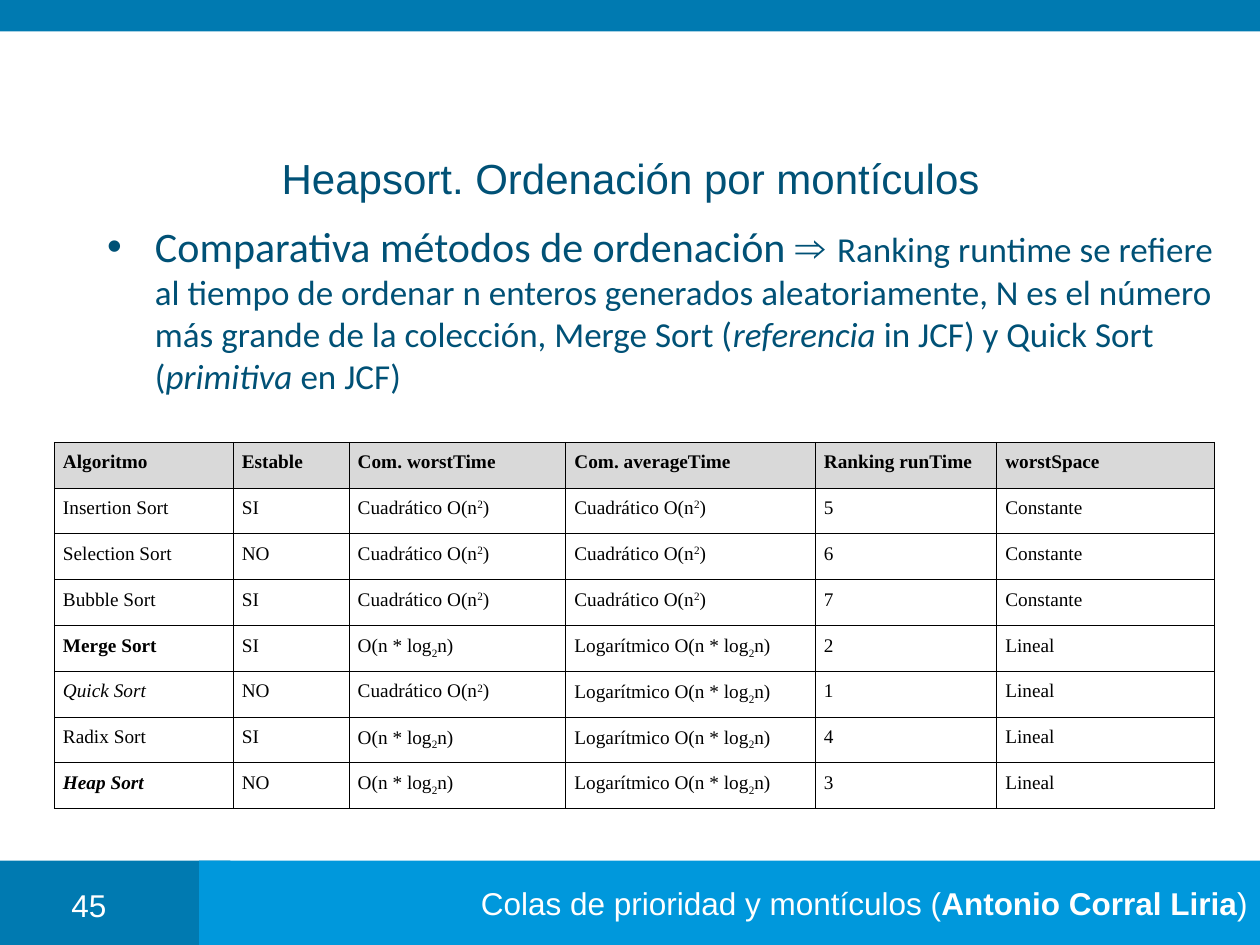
import pptx
import pptx.dml.color
import pptx.enum.shapes
import pptx.enum.text
import pptx.oxml
import pptx.oxml.ns
import pptx.util
from lxml import etree

Inches = pptx.util.Inches
Pt = pptx.util.Pt
ALIGN = pptx.enum.text.PP_ALIGN
ANCHOR = pptx.enum.text.MSO_ANCHOR

COLORS = {
    "dark": "007AB1",
    "light": "0098DC",
    "heading": "005176",
    "header_row": "D9D9D9",
    "ink": "000000",
    "white": "FFFFFF",
}

QUADRATIC = [("Cuadrático O(n", {}), ("2", {"baseline": 30000}), (")", {})]
LOG_TAIL = [("2", {"baseline": -25000}), ("n)", {})]
LINEARITHMIC = [("O(n * log", {})] + LOG_TAIL
LOGARITHMIC = [("Logarítmico O(n * log", {})] + LOG_TAIL

BOLD = {"bold": True}
ITALIC = {"italic": True}
COLUMN_WIDTHS = [1.42, 0.92, 1.72, 1.98, 1.44, 1.73]
HEADINGS = ["Algoritmo", "Estable", "Com. worstTime", "Com. averageTime",
            "Ranking runTime", "worstSpace"]
ALGORITHMS = [
    ["Insertion Sort", "SI", QUADRATIC, QUADRATIC, "5", "Constante"],
    ["Selection Sort", "NO", QUADRATIC, QUADRATIC, "6", "Constante"],
    ["Bubble Sort", "SI", QUADRATIC, QUADRATIC, "7", "Constante"],
    [[("Merge Sort", BOLD)], "SI", LINEARITHMIC, LOGARITHMIC, "2", "Lineal"],
    [[("Quick Sort", ITALIC)], "NO", QUADRATIC, LOGARITHMIC, "1", "Lineal"],
    ["Radix Sort", "SI", LINEARITHMIC, LOGARITHMIC, "4", "Lineal"],
    [[("Heap Sort", BOLD | ITALIC)], "NO", LINEARITHMIC, LOGARITHMIC, "3", "Lineal"],
]


def rgb(name):
    return pptx.dml.color.RGBColor.from_string(COLORS[name])


def place(shape, left, top, width, height):
    shape.left, shape.top = Inches(left), Inches(top)
    shape.width, shape.height = Inches(width), Inches(height)


def write(paragraph, content, size, face, color, align=ALIGN.LEFT):
    paragraph.alignment = align
    paragraph.font.size = Pt(size)
    paragraph.font.name = face
    paragraph.font.color.rgb = rgb(color)
    parts = [(content, {})] if isinstance(content, str) else content
    for text, style in parts:
        run = paragraph.add_run()
        run.text = text
        for key, value in style.items():
            if key == "baseline":
                run._r.get_or_add_rPr().set("baseline", str(value))
            else:
                setattr(run.font, key, value)


def add_band(slide, left, top, width, height, color):
    band = slide.shapes.add_shape(
        pptx.enum.shapes.MSO_SHAPE.RECTANGLE,
        Inches(left), Inches(top), Inches(width), Inches(height))
    band.shadow.inherit = False
    band.fill.solid()
    band.fill.fore_color.rgb = rgb(color)
    band.line.fill.background()
    return band


def add_footer(slide, left, top, width, height):
    number_width, caption_left = 1.83, 1.58
    add_band(slide, left, top, number_width, height, "dark")
    caption = add_band(slide, left + caption_left, top, width - caption_left, height, "light")
    caption.text_frame.vertical_anchor = ANCHOR.MIDDLE
    write(caption.text_frame.paragraphs[0],
          [("Colas de prioridad y montículos (", {}),
           ("Antonio Corral Liria", BOLD), (")", {})],
          18, "Arial", "white", ALIGN.RIGHT)
    page = slide.shapes.add_textbox(
        Inches(left + 0.35), Inches(top + 0.15), Inches(0.71), Inches(0.32))
    page.text_frame.word_wrap = True
    write(page.text_frame.paragraphs[0], "45", 18, "Arial", "white", ALIGN.CENTER)


def fill_title(slide, left, top, width, height):
    title = slide.shapes.title
    place(title, left, top, width, height)
    title.text_frame.auto_size = pptx.enum.text.MSO_AUTO_SIZE.NONE
    title.text_frame.vertical_anchor = ANCHOR.MIDDLE
    write(title.text_frame.paragraphs[0], "Heapsort. Ordenación por montículos",
          24, "Arial", "heading", ALIGN.CENTER)


def fill_body(slide, left, top, width, height):
    body = slide.placeholders[1]
    place(body, left, top, width, height)
    body.text_frame.auto_size = pptx.enum.text.MSO_AUTO_SIZE.NONE
    summary = body.text_frame.paragraphs[0]
    summary.space_before = Pt(5)
    lead = {"size": Pt(24)}
    write(summary, [
        ("Comparativa métodos de ordenación ", lead),
        ("⇒ ", lead | {"name": "Arial"}),
        ("Ranking runtime se refiere al tiempo de ordenar n enteros generados "
         "aleatoriamente, N es el número más grande de la colección, Merge Sort (", {}),
        ("referencia", ITALIC),
        (" in JCF) y Quick Sort (", {}),
        ("primitiva", ITALIC),
        (" en JCF)", {}),
    ], 20, "Calibri", "heading")
    properties = summary._p.get_or_add_pPr()
    properties.set("marL", str(Inches(0.38)))
    properties.set("indent", str(-Inches(0.38)))
    bullet = pptx.oxml.parse_xml(
        f'<a:buChar {pptx.oxml.ns.nsdecls("a")} char="•"/>')
    properties.find(pptx.oxml.ns.qn("a:defRPr")).addprevious(bullet)


def outline_cell(cell):
    properties = cell._tc.get_or_add_tcPr()
    qn = pptx.oxml.ns.qn
    for position, side in enumerate(("a:lnL", "a:lnR", "a:lnT", "a:lnB")):
        edge = etree.Element(qn(side), w=str(Pt(0.45)))
        solid = etree.SubElement(edge, qn("a:solidFill"))
        etree.SubElement(solid, qn("a:srgbClr"), val=COLORS["ink"])
        properties.insert(position, edge)


def add_comparison(slide, left, top, width, height):
    rows = [[[(heading, BOLD)] for heading in HEADINGS]] + ALGORITHMS
    table = slide.shapes.add_table(
        len(rows), len(HEADINGS),
        Inches(left), Inches(top), Inches(width), Inches(height)).table
    table.first_row = table.horz_banding = False
    for column, column_width in zip(table.columns, COLUMN_WIDTHS):
        column.width = Inches(column_width)
    for row_index, row in enumerate(rows):
        table.rows[row_index].height = Inches(height / len(rows))
        for column_index, content in enumerate(row):
            cell = table.cell(row_index, column_index)
            cell.margin_left = cell.margin_right = Inches(0.07)
            cell.margin_top = cell.margin_bottom = Inches(0.05)
            if row_index == 0:
                cell.fill.solid()
                cell.fill.fore_color.rgb = rgb("header_row")
            else:
                cell.fill.background()
            outline_cell(cell)
            paragraph = cell.text_frame.paragraphs[0]
            paragraph.line_spacing = 1.15
            write(paragraph, content, 11, "Times New Roman", "ink")


def main():
    deck = pptx.Presentation()
    deck.slide_width, deck.slide_height = Inches(10), Inches(7.5)
    slide = deck.slides.add_slide(deck.slide_layouts[1])
    add_band(slide, 0, 0, 10, 0.25, "dark")
    add_footer(slide, 0, 6.83, 10, 0.67)
    fill_title(slide, 0.83, 1.2, 8.35, 0.42)
    fill_body(slide, 0.75, 1.7, 9.05, 5.12)
    add_comparison(slide, 0.43, 3.51, sum(COLUMN_WIDTHS), 2.91)
    deck.save("out.pptx")


if __name__ == "__main__":
    main()
